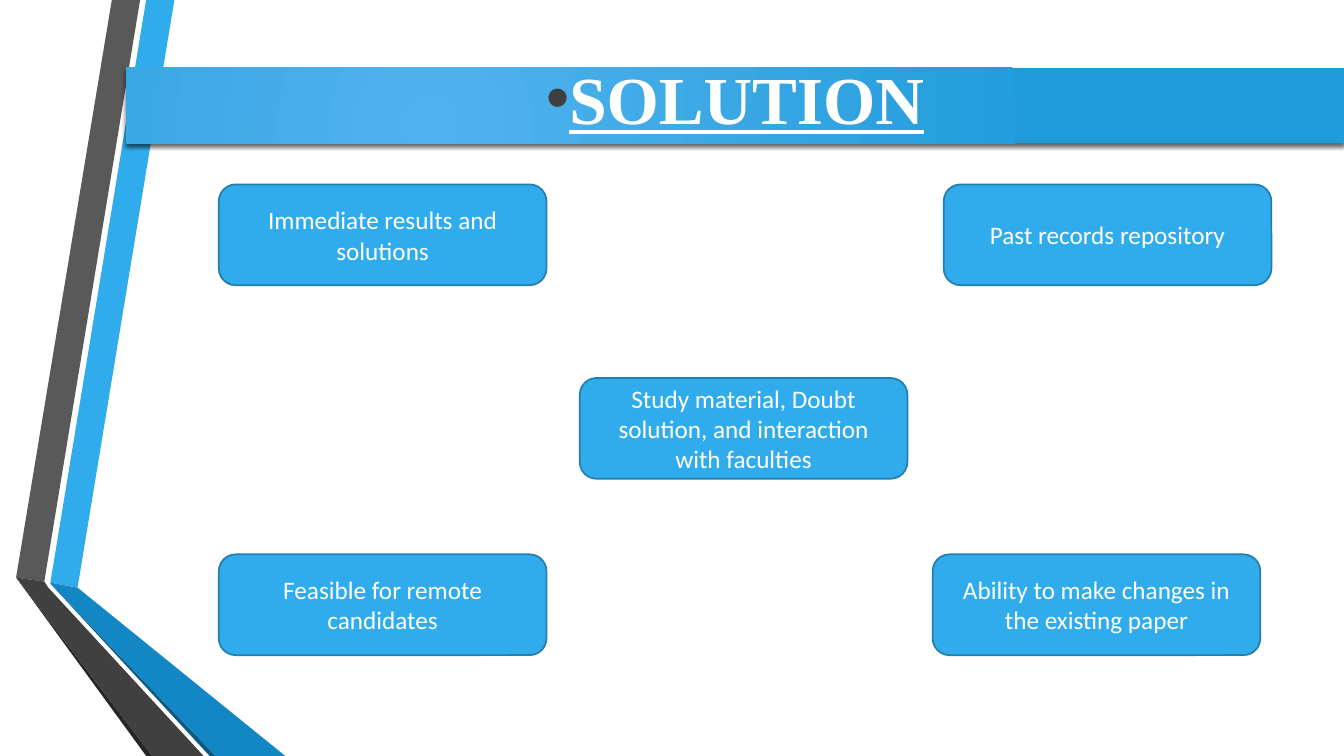
from dataclasses import dataclass

from lxml.etree import SubElement
from pptx import Presentation
from pptx.dml.color import RGBColor
from pptx.enum.shapes import MSO_SHAPE as Shape
from pptx.enum.text import MSO_ANCHOR as Anchor, MSO_AUTO_SIZE as AutoSize, PP_ALIGN as Align
from pptx.oxml.ns import qn
from pptx.util import Inches, Pt


@dataclass(frozen=True)
class Theme:
    blue: str = "30ACEC"
    blue_edge: str = "247FAF"
    blue_fold: str = "1287C3"
    blue_shade: str = "0C5A82"
    grey: str = "595959"
    grey_fold: str = "404040"
    grey_shade: str = "262626"
    bar_light: str = "51B3ED"
    bar_dark: str = "219CDB"
    bullet: str = "3F3F3F"
    white: str = "FFFFFF"
    title_font: str = "Times New Roman"
    body_font: str = "Calibri"
    title_size: int = 48
    body_size: int = 18


THEME = Theme()

# Folded ribbons at the left edge: colour and corners in inches
RIBBONS = [
    (THEME.blue, [(0.5, 5.78), (0.77, 5.83), (1.73, 0), (1.45, 0)]),
    (THEME.grey, [(1.39, 0), (1.11, 0), (0.16, 5.73), (0.44, 5.77)]),
    (THEME.grey_shade, [(0.16, 5.73), (1.45, 7.5), (1.51, 7.5)]),
    (THEME.blue_shade, [(0.5, 5.79), (2.08, 7.5), (2.14, 7.5)]),
    (THEME.blue_fold, [(0.5, 5.79), (2.14, 7.5), (2.83, 7.5), (0.77, 5.83), (0.5, 5.78)]),
    (THEME.grey_fold, [(2.02, 7.5), (0.48, 5.83), (0.44, 5.77), (0.16, 5.73), (1.51, 7.5)]),
]

# Solution cards: left, top, wording
CARD_WIDTH, CARD_HEIGHT = 3.25, 1
CARDS = [
    (2.17, 1.83, "Immediate results and solutions"),
    (9.25, 5.5, "Ability to make changes in the existing paper"),
    (2.17, 5.5, "Feasible for remote candidates"),
    (5.75, 3.75, "Study material, Doubt solution, and interaction with faculties"),
    (9.36, 1.83, "Past records repository"),
]


def rgb(colour):
    return RGBColor.from_string(colour)


def style_font(font, name, size):
    font.name = name
    font.size = Pt(size)
    font.color.rgb = rgb(THEME.white)


def add_ribbon(slide, colour, corners):
    start, *rest = [(Inches(x), Inches(y)) for x, y in corners]
    outline = slide.shapes.build_freeform(*start)
    outline.add_line_segments(rest, close=True)
    ribbon = outline.convert_to_shape()
    ribbon.shadow.inherit = False
    ribbon.fill.solid()
    ribbon.fill.fore_color.rgb = rgb(colour)
    ribbon.line.fill.background()


def fill_radial(shape, colours):
    shape.fill.gradient()
    for stop, colour, position in zip(shape.fill.gradient_stops, colours, (0, 1)):
        stop.color.rgb = rgb(colour)
        stop.position = position
    gradient = shape.element.spPr.find(qn("a:gradFill"))
    gradient.remove(gradient.find(qn("a:lin")))
    circle = SubElement(gradient, qn("a:path"), {"path": "circle"})
    SubElement(circle, qn("a:fillToRect"), l="50000", t="100000", r="100000", b="50000")


def add_drop_shadow(shape):
    shape.shadow.inherit = False
    effects = shape.element.spPr.find(qn("a:effectLst"))
    shadow = SubElement(effects, qn("a:outerShdw"), blurRad="38100", dist="25400",
                        dir="5400000", rotWithShape="0")
    black = SubElement(shadow, qn("a:srgbClr"), val="000000")
    SubElement(black, qn("a:alpha"), val="60000")


def add_bullet(paragraph, colour):
    properties = paragraph._p.get_or_add_pPr()
    properties.set("marL", "0")
    properties.set("indent", "0")
    bullet_colour = SubElement(properties, qn("a:buClr"))
    SubElement(bullet_colour, qn("a:srgbClr"), val=colour)
    SubElement(properties, qn("a:buFont"), typeface="Arial")
    SubElement(properties, qn("a:buChar"), char="•")


def set_title(slide, wording):
    title = slide.shapes.title
    title.left, title.top = Inches(1.25), Inches(0.67)
    title.width, title.height = Inches(12.08), Inches(0.75)
    fill_radial(title, (THEME.bar_light, THEME.bar_dark))
    add_drop_shadow(title)

    frame = title.text_frame
    frame.text = wording
    frame.auto_size = AutoSize.NONE
    frame.vertical_anchor = Anchor.BOTTOM
    heading = frame.paragraphs[0]
    heading.alignment = Align.CENTER
    heading.line_spacing = 0.85
    add_bullet(heading, THEME.bullet)
    # The bullet stays plain, so the emphasis sits on the run
    emphasis = heading.runs[0].font
    style_font(emphasis, THEME.title_font, THEME.title_size)
    emphasis.bold = emphasis.underline = True

    # Bring the bar in front of the ribbons
    slide.shapes._spTree.append(title.element)


def add_card(slide, left, top, wording):
    card = slide.shapes.add_shape(Shape.ROUNDED_RECTANGLE, Inches(left), Inches(top),
                                  Inches(CARD_WIDTH), Inches(CARD_HEIGHT))
    card.shadow.inherit = False
    card.fill.solid()
    card.fill.fore_color.rgb = rgb(THEME.blue)
    card.line.color.rgb = rgb(THEME.blue_edge)
    card.line.width = Pt(1.25)
    frame = card.text_frame
    frame.text = wording
    frame.word_wrap = True
    frame.vertical_anchor = Anchor.MIDDLE
    label = frame.paragraphs[0]
    label.alignment = Align.CENTER
    style_font(label.font, THEME.body_font, THEME.body_size)


def main():
    deck = Presentation()
    deck.slide_width, deck.slide_height = Inches(13.33), Inches(7.5)
    title_only = deck.slide_layouts[5]
    slide = deck.slides.add_slide(title_only)

    for colour, corners in RIBBONS:
        add_ribbon(slide, colour, corners)
    set_title(slide, "SOLUTION")
    for left, top, wording in CARDS:
        add_card(slide, left, top, wording)

    deck.save("out.pptx")


if __name__ == "__main__":
    main()
